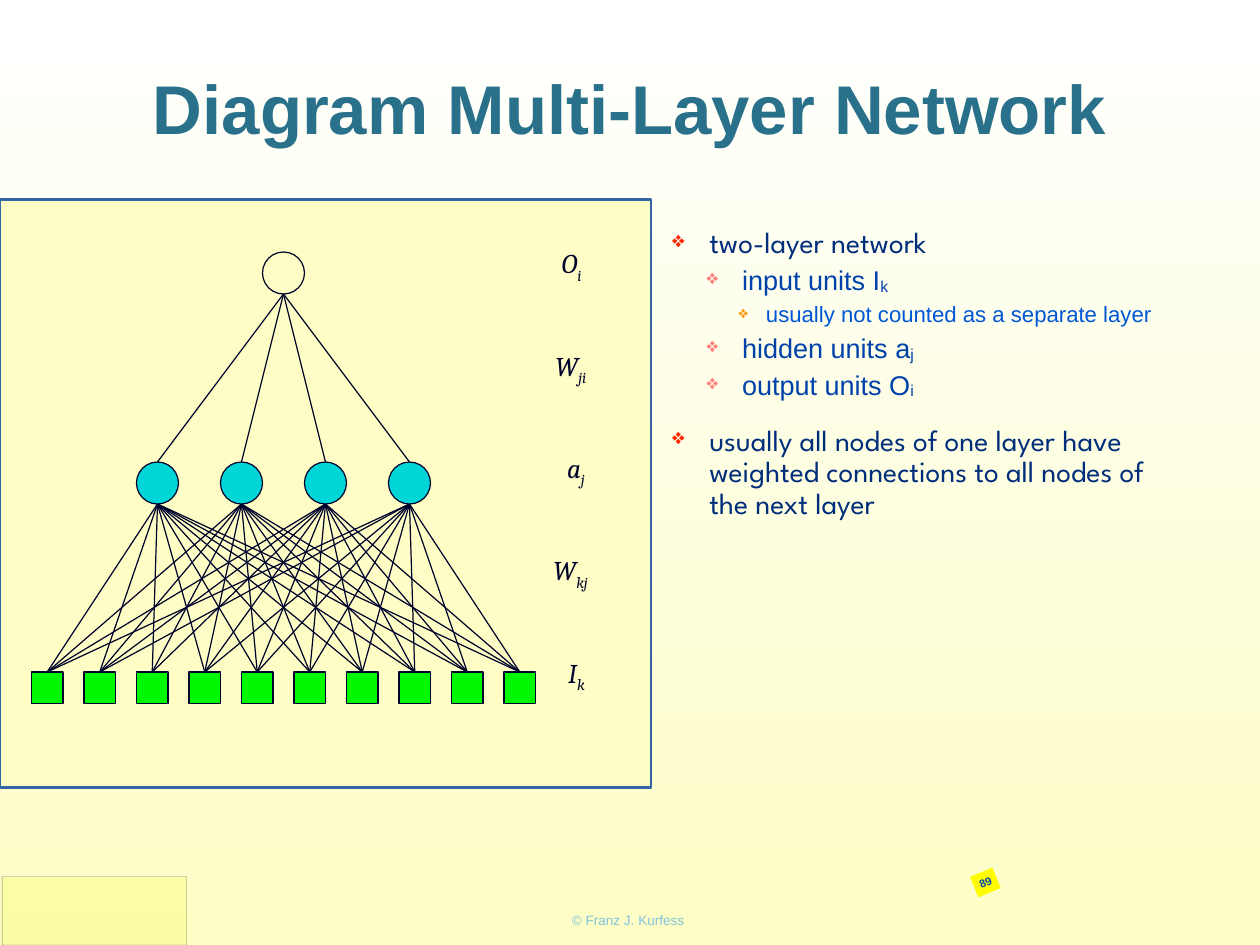
from dataclasses import dataclass
from itertools import product

from lxml import etree
from pptx import Presentation
from pptx.dml.color import RGBColor
from pptx.enum.shapes import MSO_CONNECTOR, MSO_SHAPE
from pptx.enum.text import MSO_ANCHOR, MSO_AUTO_SIZE, PP_ALIGN
from pptx.oxml.ns import qn
from pptx.shapes.autoshape import Shape
from pptx.slide import Slide
from pptx.text.text import TextFrame
from pptx.util import Inches, Pt

RECTANGLE, OVAL = MSO_SHAPE.RECTANGLE, MSO_SHAPE.OVAL
STRAIGHT = MSO_CONNECTOR.STRAIGHT
MIDDLE, CENTER = MSO_ANCHOR.MIDDLE, PP_ALIGN.CENTER
NO_AUTOSIZE, FIT_SHAPE = MSO_AUTO_SIZE.NONE, MSO_AUTO_SIZE.SHAPE_TO_FIT_TEXT

WIDTH, HEIGHT = Inches(14.22), Inches(10.67)
COLUMNS, ROWS = 120, 90
CREAM, WHITE, INK = "FDFDC5", "FFFFFF", "00032B"
INSET = Inches(0.06)


@dataclass(frozen=True)
class Box:
    """An area in grid columns and rows."""
    left: float
    top: float
    width: float
    height: float


@dataclass(frozen=True)
class Layer:
    shape: MSO_SHAPE
    fill: str | None
    first_center: float
    step: float
    count: int
    top: float
    size: float

    def centers(self) -> list[float]:
        return [self.first_center + self.step * i for i in range(self.count)]


@dataclass(frozen=True)
class Symbol:
    letter: str
    index: str
    left: float
    width: float


@dataclass(frozen=True)
class Level:
    font: str
    size: int
    color: str
    bullet_color: str
    margin: float
    hanging: float
    space_before: int


@dataclass(frozen=True)
class Point:
    level: int
    text: str
    index: str = ""


OUTPUT = Layer(OVAL, None, 27, 0, 1, 24, 4)
HIDDEN = Layer(OVAL, "00D5D7", 15, 8, 4, 44, 4)
INPUT = Layer(RECTANGLE, "00F900", 4.5, 5, 10, 64, 3)
UNLINKED = (2, 3)  # input and hidden unit without a connection

SYMBOLS = [
    Symbol("O", "i", 53, 3.6),
    Symbol("W", "ji", 52.4, 4.4),
    Symbol("a", "j", 53.5, 3),
    Symbol("W", "kj", 52.2, 4.6),
    Symbol("I", "k", 53.6, 2.9),
]
SYMBOL_TOP, SYMBOL_STEP, SYMBOL_HEIGHT = 23, 9.75, 5.1

LEVELS = [
    Level("League Spartan", 24, "002E7A", "FF2600", 0.42, 0.42, 20),
    Level("Arial", 22, "0042AA", "FF7E79", 0.79, 0.4, 6),
    Level("Arial", 18, "0056D6", "FF9300", 1.06, 0.31, 6),
]
POINTS = [
    Point(0, "two-layer network"),
    Point(1, "input units I", "k"),
    Point(2, "usually not counted as a separate layer"),
    Point(1, "hidden units a", "j"),
    Point(1, "output units O", "i"),
    Point(0, "usually all nodes of one layer have weighted connections "
             "to all nodes of the next layer"),
]


def rgb(color: str) -> RGBColor:
    return RGBColor.from_string(color)


def x(column: float) -> int:
    return round(WIDTH * column / COLUMNS)


def y(row: float) -> int:
    return round(HEIGHT * row / ROWS)


def area(box: Box) -> tuple[int, int, int, int]:
    return x(box.left), y(box.top), x(box.width), y(box.height)


def add_box(slide: Slide, kind: MSO_SHAPE, box: Box, fill: str | None,
            line: str | None = None, line_width: float = 1) -> Shape:
    shape = slide.shapes.add_shape(kind, *area(box))
    shape.shadow.inherit = False
    if fill:
        shape.fill.solid()
        shape.fill.fore_color.rgb = rgb(fill)
    else:
        shape.fill.background()
    if line:
        shape.line.color.rgb = rgb(line)
        shape.line.width = Pt(line_width)
    else:
        shape.line.fill.background()
    return shape


def set_frame(frame: TextFrame, wrap: bool, autosize: MSO_AUTO_SIZE) -> None:
    frame.margin_left = frame.margin_right = INSET
    frame.margin_top = frame.margin_bottom = INSET
    frame.word_wrap = wrap
    frame.auto_size = autosize


def set_font(font, name: str, size: float, color: str,
             bold: bool = False, italic: bool = False) -> None:
    font.name, font.size = name, Pt(size)
    font.color.rgb = rgb(color)
    font.bold, font.italic = bold, italic


def write_line(frame: TextFrame, text: str, size: float, color: str, bold: bool) -> None:
    """Put one centred Arial line into a frame."""
    frame.text = text
    frame.paragraphs[0].alignment = CENTER
    set_font(frame.paragraphs[0].runs[0].font, "Arial", size, color, bold)


def add_lowered(paragraph, index: str, baseline: int):
    """Append a subscript run, lowered by a percentage of the text size."""
    run = paragraph.add_run()
    run.text = index
    run.font._element.set("baseline", str(baseline * 1000))
    return run


def make_translucent(fill_format, percent: int) -> None:
    color = fill_format.fore_color._xFill.find(qn("a:srgbClr"))
    etree.SubElement(color, qn("a:alpha"), val=str(percent * 1000))


def set_bullet(paragraph, level: Level) -> None:
    properties = paragraph._p.get_or_add_pPr()
    properties.set("marL", str(Inches(level.margin)))
    properties.set("indent", str(-Inches(level.hanging)))
    color = etree.SubElement(properties, qn("a:buClr"))
    etree.SubElement(color, qn("a:srgbClr"), val=level.bullet_color)
    etree.SubElement(properties, qn("a:buSzPct"), val="75000")
    etree.SubElement(properties, qn("a:buChar"), char="❖")


def connect(slide: Slide, lower: Layer, upper: Layer,
            skipped: tuple[int, int] | None = None) -> None:
    """Link every unit of one layer to every unit of the layer above."""
    for pair in product(range(lower.count), range(upper.count)):
        if pair == skipped:
            continue
        start, end = lower.centers()[pair[0]], upper.centers()[pair[1]]
        link = slide.shapes.add_connector(
            STRAIGHT, x(start), y(lower.top), x(end), y(upper.top + upper.size))
        link.line.color.rgb = rgb(INK)
        link.line.width = Pt(1)
        etree.SubElement(link._element.spPr, qn("a:effectLst"))


def draw_network(slide: Slide) -> None:
    add_box(slide, RECTANGLE, Box(0, 19, 62, 56), CREAM, "3465A4", 2)
    connect(slide, HIDDEN, OUTPUT)
    connect(slide, INPUT, HIDDEN, UNLINKED)
    for layer in (OUTPUT, HIDDEN, INPUT):
        for center in layer.centers():
            unit = Box(center - layer.size / 2, layer.top, layer.size, layer.size)
            add_box(slide, layer.shape, unit, layer.fill, INK)
    for i, symbol in enumerate(SYMBOLS):
        place = Box(symbol.left, SYMBOL_TOP + SYMBOL_STEP * i, symbol.width, SYMBOL_HEIGHT)
        frame = slide.shapes.add_textbox(*area(place)).text_frame
        set_frame(frame, False, FIT_SHAPE)
        paragraph = frame.paragraphs[0]
        paragraph.text = symbol.letter
        add_lowered(paragraph, symbol.index, -27)
        for run in paragraph.runs:
            set_font(run.font, "Cambria", 22, INK, italic=True)


def write_points(slide: Slide) -> None:
    frame = slide.shapes.add_textbox(*area(Box(63.5, 21.2, 49.3, 62.7))).text_frame
    set_frame(frame, True, NO_AUTOSIZE)
    for i, point in enumerate(POINTS):
        level = LEVELS[point.level]
        paragraph = frame.add_paragraph() if i else frame.paragraphs[0]
        paragraph.text = point.text
        paragraph.level = point.level
        paragraph.line_spacing = 0.9
        paragraph.space_before = Pt(level.space_before if i else 0)
        set_bullet(paragraph, level)
        if point.index:
            add_lowered(paragraph, point.index, -6)
        for run in paragraph.runs:
            set_font(run.font, level.font, level.size, level.color)


def draw_footer(slide: Slide) -> None:
    corner = add_box(slide, RECTANGLE, Box(0.2, 83.5, 17.6, 6.5), "F8FC84", "000000", 0.25)
    make_translucent(corner.fill, 48)
    make_translucent(corner.line.fill, 48)
    copyright_line = slide.shapes.add_textbox(*area(Box(40.25, 86, 39.15, 3.2))).text_frame
    set_frame(copyright_line, True, FIT_SHAPE)
    copyright_line.vertical_anchor = MIDDLE
    write_line(copyright_line, "© Franz J. Kurfess", 11, "80C4DF", False)
    page = add_box(slide, RECTANGLE, Box(92.7, 83, 2.3, 2.1), "FFFB00")
    page.rotation = 337.5
    set_frame(page.text_frame, False, FIT_SHAPE)
    write_line(page.text_frame, "89", 9, "0048AA", True)


def main() -> None:
    deck = Presentation()
    deck.slide_width, deck.slide_height = WIDTH, HEIGHT
    slide = deck.slides.add_slide(deck.slide_layouts[5])
    backdrop = slide.background.fill
    backdrop.gradient()
    backdrop.gradient_angle = 90
    for stop, color in zip(backdrop.gradient_stops, (CREAM, WHITE)):
        stop.color.rgb = rgb(color)
    title = slide.shapes.title
    title.left, title.top, title.width, title.height = area(Box(7.2, 0, 105.6, 20.3))
    set_frame(title.text_frame, True, NO_AUTOSIZE)
    title.text_frame.vertical_anchor = MIDDLE
    write_line(title.text_frame, "Diagram Multi-Layer Network", 56, "29708A", True)
    draw_footer(slide)
    draw_network(slide)
    write_points(slide)
    deck.save("out.pptx")


if __name__ == "__main__":
    main()
